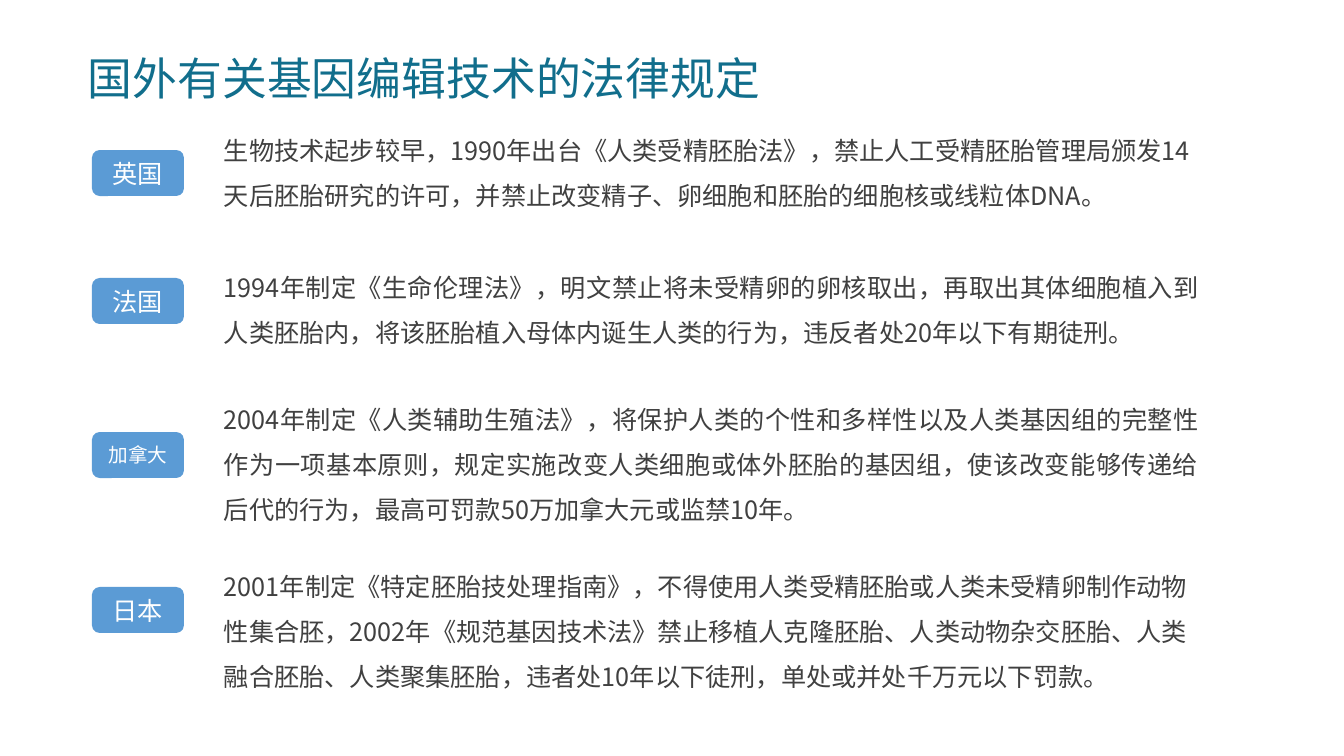
import pptx
import pptx.dml.color
import pptx.enum.lang
import pptx.enum.shapes
import pptx.enum.text
import pptx.oxml
import pptx.oxml.ns
import pptx.util

ALIGN = pptx.enum.text.PP_ALIGN
TITLE = "国外有关基因编辑技术的法律规定"
# country, label size, label top, law top, law width, law lines, alignment, law
COUNTRIES = [
    ("英国", 18, 150, 115, 1007, 2, ALIGN.LEFT,
     "生物技术起步较早，1990年出台《人类受精胚胎法》，禁止人工受精胚胎管理局颁发14天后胚胎研究的许可，"
     "并禁止改变精子、卵细胞和胚胎的细胞核或线粒体DNA。"),
    ("法国", 18, 278, 252, 995, 2, ALIGN.JUSTIFY,
     "1994年制定《生命伦理法》，明文禁止将未受精卵的卵核取出，再取出其体细胞植入到人类胚胎内，"
     "将该胚胎植入母体内诞生人类的行为，违反者处20年以下有期徒刑。"),
    ("加拿大", 14, 432, 384, 995, 3, ALIGN.JUSTIFY,
     "2004年制定《人类辅助生殖法》，将保护人类的个性和多样性以及人类基因组的完整性作为一项基本原则，"
     "规定实施改变人类细胞或体外胚胎的基因组，使该改变能够传递给后代的行为，"
     "最高可罚款50万加拿大元或监禁10年。"),
    ("日本", 18, 587, 551, 1007, 3, ALIGN.LEFT,
     "2001年制定《特定胚胎技处理指南》，不得使用人类受精胚胎或人类未受精卵制作动物性集合胚，"
     "2002年《规范基因技术法》禁止移植人克隆胚胎、人类动物杂交胚胎、人类融合胚胎、人类聚集胚胎，"
     "违者处10年以下徒刑，单处或并处千万元以下罚款。"),
]

TEAL = pptx.dml.color.RGBColor(0x11, 0x6E, 0x8C)
BLUE = pptx.dml.color.RGBColor(0x5B, 0x9B, 0xD5)
GRAY = pptx.dml.color.RGBColor(0x40, 0x40, 0x40)
WHITE = pptx.dml.color.RGBColor(0xFF, 0xFF, 0xFF)
BODY_FONT = "Noto Sans CJK SC"
LABEL_FONT = "Cabin"

SLIDE_WIDTH, SLIDE_HEIGHT = 1344, 756
LABEL_LEFT, LABEL_WIDTH, LABEL_HEIGHT = 92, 92, 46
LAW_LEFT, LINE_HEIGHT, LAW_PADDING = 214, 45, 7


def px(*lengths):
    """Turn pixels, 100.8 to the inch, into EMU."""
    return [pptx.util.Inches(length / 100.8) for length in lengths]


def write(shape, text, size, color, font_name=BODY_FONT, align=ALIGN.LEFT,
          spacing=None, wrap=True, grow=True):
    frame = shape.text_frame
    frame.word_wrap = wrap
    if grow:
        frame.auto_size = pptx.enum.text.MSO_AUTO_SIZE.SHAPE_TO_FIT_TEXT
    paragraph = frame.paragraphs[0]
    paragraph.alignment = align
    paragraph.line_spacing = spacing
    run = paragraph.add_run()
    run.text = text
    font = run.font
    font.size = pptx.util.Pt(size)
    font.color.rgb = color
    font.name = font_name
    font.language_id = pptx.enum.lang.MSO_LANGUAGE_ID.SIMPLIFIED_CHINESE
    # Chinese characters take their typeface from a:ea
    east_asian = pptx.oxml.parse_xml(
        f'<a:ea {pptx.oxml.ns.nsdecls("a")} typeface="{font_name}"/>')
    run.font._element.find(pptx.oxml.ns.qn("a:latin")).addnext(east_asian)


def add_label(slide, country, size, top):
    label = slide.shapes.add_shape(
        pptx.enum.shapes.MSO_SHAPE.ROUNDED_RECTANGLE,
        *px(LABEL_LEFT, top, LABEL_WIDTH, LABEL_HEIGHT))
    label.shadow.inherit = False
    label.fill.solid()
    label.fill.fore_color.rgb = BLUE
    label.line.fill.background()
    label.text_frame.vertical_anchor = pptx.enum.text.MSO_ANCHOR.MIDDLE
    write(label, country, size, WHITE, font_name=LABEL_FONT,
          align=ALIGN.CENTER, grow=False)


def main():
    presentation = pptx.Presentation()
    presentation.slide_width, presentation.slide_height = px(SLIDE_WIDTH, SLIDE_HEIGHT)
    slide = presentation.slides.add_slide(presentation.slide_layouts[6])

    title = slide.shapes.add_textbox(*px(78, 46, 699, 65))
    write(title, TITLE, 32, TEAL, wrap=False)

    for country, size, label_top, law_top, width, lines, align, law in COUNTRIES:
        add_label(slide, country, size, label_top)
        height = lines * LINE_HEIGHT + LAW_PADDING
        law_box = slide.shapes.add_textbox(*px(LAW_LEFT, law_top, width, height))
        write(law_box, law, 18, GRAY, align=align, spacing=1.5)

    presentation.save("out.pptx")


if __name__ == "__main__":
    main()
